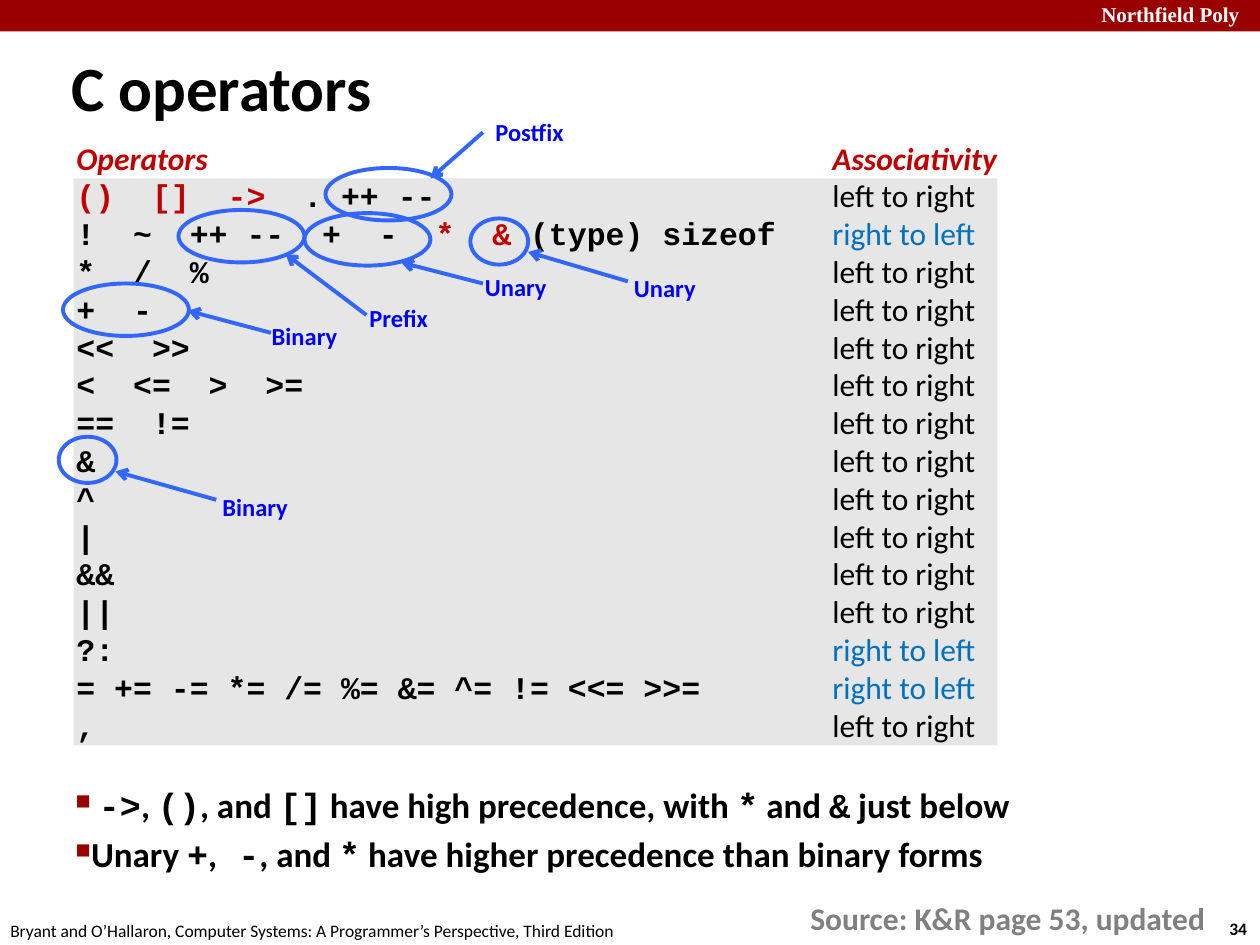
from pptx import Presentation
from pptx.dml.color import RGBColor
from pptx.enum.shapes import MSO_CONNECTOR, MSO_SHAPE
from pptx.enum.text import MSO_ANCHOR
from pptx.oxml import parse_xml
from pptx.oxml.ns import nsdecls
from pptx.util import Inches, Pt

COLS, ROWS = 120, 90
HUES = {
    "brand": "990000", "panel": "E6E6E6", "red": "C00000", "blue": "0070C0",
    "line": "3366FF", "note": "0000FF", "gray": "808080",
    "black": "000000", "white": "FFFFFF",
}
CODE = "Courier New"
LINES = [
    "`()  []  ->`  . ++ --", "!  ~  ++ --  +  -  `*  &` (type) sizeof", "*  /  %",
    "+  -", "<<  >>", "<  <=  >  >=", "==  !=", "&", "^", "|", "&&", "||", "?:",
    "= += -= *= /= %= &= ^= != <<= >>=", ",",
]
RIGHT = (1, 12, 13)
POINTS = [
    " `->`, `()`, and `[]` have high precedence, with `*` and `&` just below",
    "Unary `+`,` -`, and `*` have higher precedence than binary forms",
]
RINGS = [(x, y, 12, 5) for x, y in ((31, 16), (17, 20), (29, 20.3), (6, 27))]
RINGS += [(x, y, 5.5, 4.4) for x, y in ((44.8, 20.8), (5.6, 41.6))]
NOTES = [
    ("Postfix", (46, 10.6, 9.1, 4.1), (46, 12.6), (41, 17)),
    ("Unary", (45, 25.3, 8.5, 4.1), (46, 27), (38.2, 25)),
    ("Binary", (24.7, 30, 8.8, 4.1), (25.8, 31.7), (17.9, 29.6)),
    ("Prefix", (34, 28.3, 8.2, 4.1), (34.9, 30), (27.2, 24.2)),
    ("Unary", (59.2, 25.4, 9.8, 4.1), (59.8, 26.8), (50.3, 24)),
    ("Binary", (20, 46.3, 9.8, 4.1), (20.6, 47.6), (11, 44.9)),
]


def hue(name):
    return RGBColor.from_string(HUES[name])


def node(tag, attrs="", inner=""):
    return parse_xml(f"<a:{tag} {nsdecls('a')} {attrs}>{inner}</a:{tag}>")


def put(par, text, size=18, font="Calibri", tint="black", bold=False, slant=False):
    run = par.add_run()
    run.text = text
    run.font.size = Pt(size)
    run.font.name = font
    run.font.bold = bold
    run.font.italic = slant
    run.font.color.rgb = hue(tint)


def mix(par, text, base, odd):
    for i, bit in enumerate(text.split("`")):
        if bit:
            put(par, bit, **(base | odd if i % 2 else base))


class Deck:
    def __init__(self):
        self.show = Presentation()
        self.show.slide_width, self.show.slide_height = Inches(10), Inches(7.5)
        self.slide = self.show.slides.add_slide(self.show.slide_layouts[6])
        self.font = {"size": 14, "tint": "note", "bold": True}
        self.width = Pt(2.25)

    def spot(self, *cells):
        units = self.show.slide_width / COLS, self.show.slide_height / ROWS
        return [round(cell * units[i % 2]) for i, cell in enumerate(cells)]

    def block(self, at, tint):
        shape = self.slide.shapes.add_shape(MSO_SHAPE.RECTANGLE, *self.spot(*at))
        shape.shadow.inherit = False
        shape.fill.solid()
        shape.fill.fore_color.rgb = hue(tint)
        shape.line.fill.background()

    def ring(self, at):
        shape = self.slide.shapes.add_shape(MSO_SHAPE.OVAL, *self.spot(*at))
        shape.shadow.inherit = False
        shape.fill.background()
        shape.line.color.rgb = hue("line")
        shape.line.width = self.width

    def arrow(self, start, end):
        line = self.slide.shapes.add_connector(
            MSO_CONNECTOR.STRAIGHT, *self.spot(*start, *end))
        line.line.color.rgb = hue("line")
        line.line.width = self.width
        line.line._get_or_add_ln().append(node("tailEnd", 'type="arrow"'))
        line._element.spPr.append(node("effectLst"))

    def frame(self, at, wrap=False):
        frame = self.slide.shapes.add_textbox(*self.spot(*at)).text_frame
        frame.word_wrap = wrap
        return frame

    def label(self, at, text, wrap=False, **look):
        frame = self.frame(at, wrap)
        put(frame.paragraphs[0], text, **(self.font | look))
        return frame

    def chart(self, at):
        frame = self.frame(at, True)
        for i in range(len(LINES) + 1):
            par = frame.add_paragraph() if i else frame.paragraphs[0]
            par.line_spacing = Pt(21.6)
            stop = node("tab", f'pos="{Inches(6)}" algn="l"')
            tabs = node("tabLst")
            tabs.append(stop)
            par._p.get_or_add_pPr().append(tabs)
            if i == 0:
                put(par, "Operators\tAssociativity", tint="red", bold=True, slant=True)
                continue
            mix(par, LINES[i - 1], {"font": CODE, "bold": True}, {"tint": "red"})
            back = i - 1 in RIGHT
            put(par, "\tright to left" if back else "\tleft to right",
                tint="blue" if back else "black")

    def list(self, at):
        frame = self.frame(at, True)
        for i, text in enumerate(POINTS):
            par = frame.add_paragraph() if i else frame.paragraphs[0]
            par.space_before = Pt(4)
            props = par._p.get_or_add_pPr()
            props.set("marL", str(Inches(0.07)))
            props.set("indent", str(-Inches(0.07)))
            props.append(node("buClr", "", f'<a:srgbClr val="{HUES["brand"]}"/>'))
            props.append(node("buSzPct", 'val="60000"'))
            props.append(node("buChar", 'char="■"'))
            mix(par, text, {"size": 20, "bold": True}, {"font": CODE})


def main():
    deck = Deck()
    deck.block((0, 0, 120, 3), "brand")
    deck.label((103.7, -0.4, 17.2, 3.6), "Northfield Poly", True,
               size=12, font="Times New Roman", tint="white")
    deck.label((115.9, 86.8, 4.4, 3.2), "34", size=10, tint="black")
    deck.label((-0.2, 87, 61, 3.2),
               "Bryant and O’Hallaron, Computer Systems: "
               "A Programmer’s Perspective, Third Edition",
               size=10, tint="black", bold=False)
    deck.block((7, 17, 88, 54), "panel")
    title = deck.label((5.6, 4.4, 66.7, 7.6), "C operators", True,
                       size=36, tint="black")
    title.vertical_anchor = MSO_ANCHOR.MIDDLE
    deck.chart((6.1, 12.6, 90.8, 59.4))
    deck.list((6, 74, 94, 15))
    deck.label((76, 85, 40.6, 4.8), "Source: K&R page 53, updated",
               size=18, tint="gray")
    for at in RINGS:
        deck.ring(at)
    for text, at, start, end in NOTES:
        deck.label(at, text)
        deck.arrow(start, end)
    deck.show.save("out.pptx")


if __name__ == "__main__":
    main()
